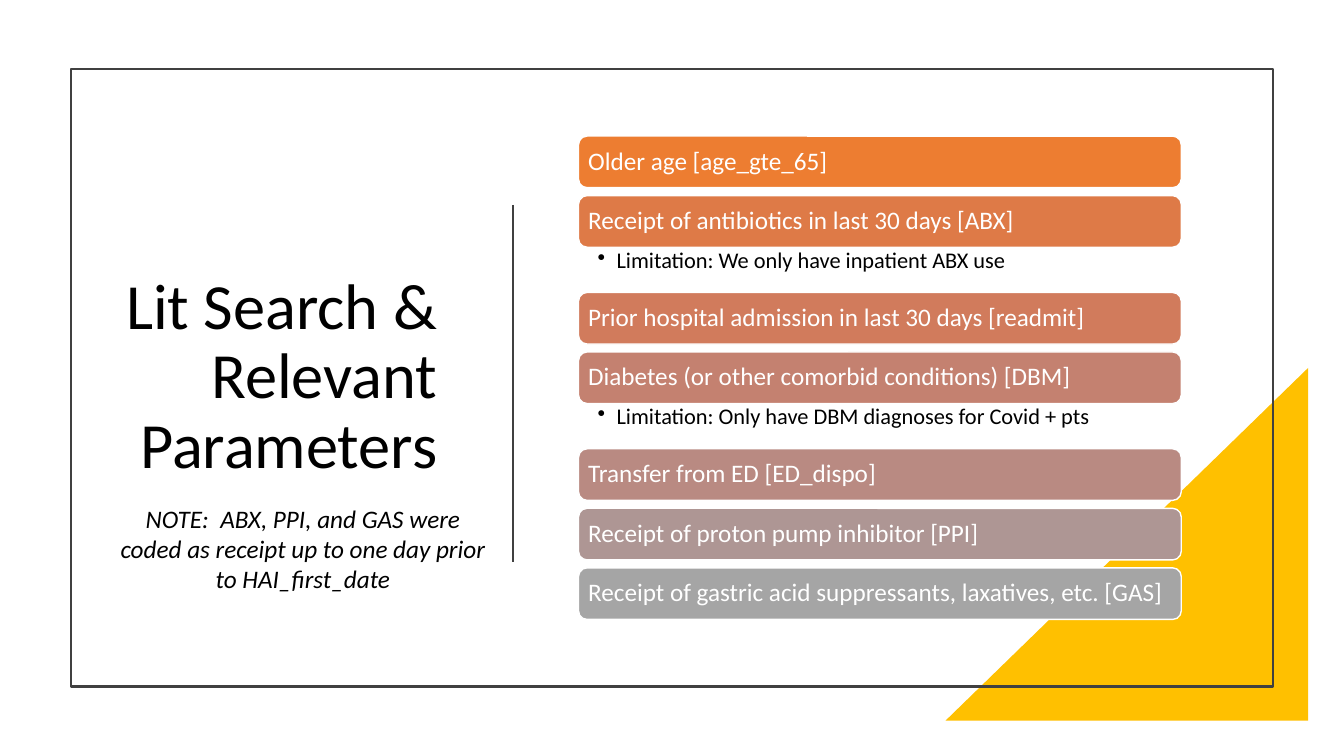
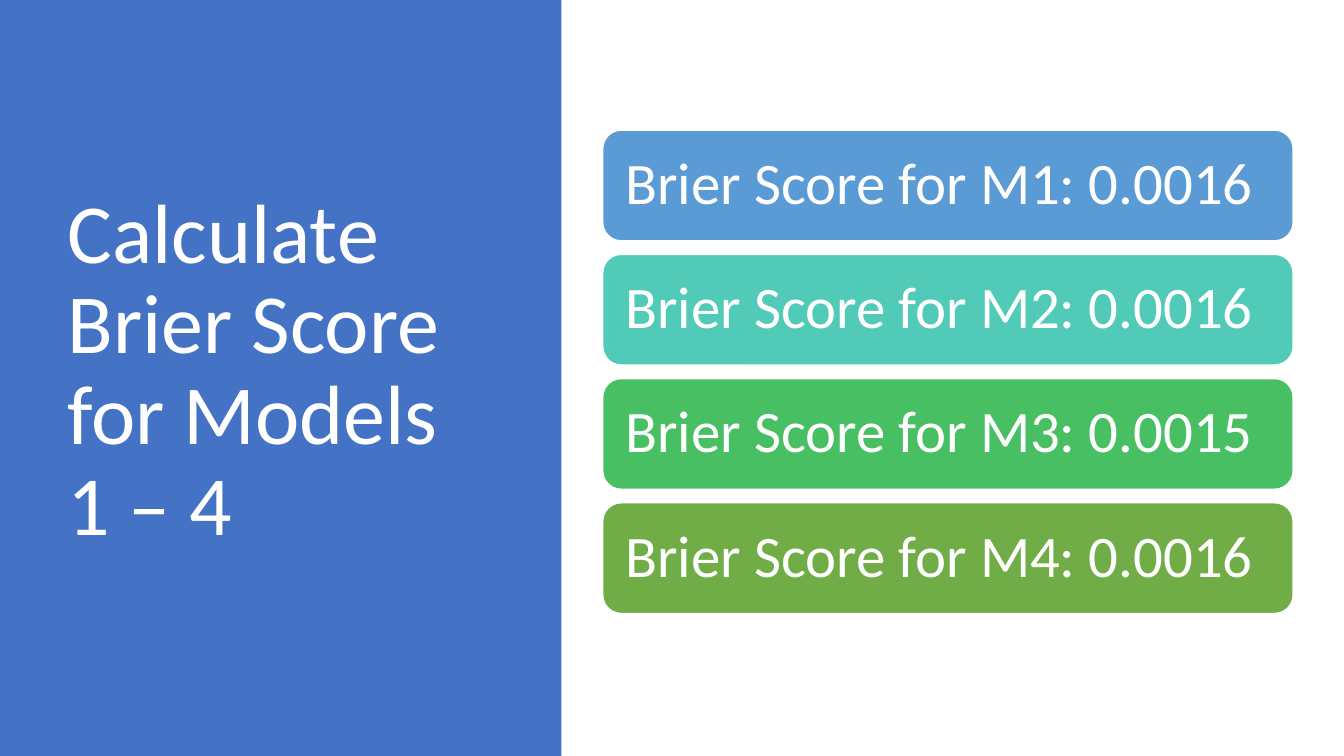
from dataclasses import dataclass

from lxml import etree
from pptx import Presentation
from pptx.dml.color import RGBColor
from pptx.enum.shapes import MSO_CONNECTOR, MSO_SHAPE
from pptx.enum.text import MSO_ANCHOR, MSO_AUTO_SIZE, PP_ALIGN
from pptx.oxml.ns import qn
from pptx.util import Cm, Pt

RECT, ROUNDED = MSO_SHAPE.RECTANGLE, MSO_SHAPE.ROUNDED_RECTANGLE
TRIANGLE = MSO_SHAPE.RIGHT_TRIANGLE
LEFT, CENTER, RIGHT = PP_ALIGN.LEFT, PP_ALIGN.CENTER, PP_ALIGN.RIGHT
TOP, MIDDLE = MSO_ANCHOR.TOP, MSO_ANCHOR.MIDDLE

FONT = "Calibri"
BLACK = RGBColor(0x00, 0x00, 0x00)
WHITE = RGBColor(0xFF, 0xFF, 0xFF)
GRAY = RGBColor(0x40, 0x40, 0x40)
GOLD = RGBColor(0xFF, 0xC0, 0x00)
BLUE = RGBColor(0x44, 0x72, 0xC4)

TITLE_ONLY = 5
DEFAULT_INSETS = (0.25, 0.13, 0.25, 0.13)
NOTE_INSETS = (0.48, 0.05, 0.3, 0.05)
NOTE_HEIGHT = 1.14
NOTE_INDENT = Cm(0.48)


@dataclass(frozen=True)
class Bar:
    text: str
    color: RGBColor
    note: str = ""


@dataclass(frozen=True)
class BarStyle:
    """Geometry of a bar stack in centimetres; size in points."""
    left: float
    top: float
    width: float
    height: float
    gap: float
    inset: float
    size: int


PARAMETERS = [
    Bar("Older age [age_gte_65]", RGBColor(0xED, 0x7D, 0x31)),
    Bar("Receipt of antibiotics in last 30 days [ABX]", RGBColor(0xDE, 0x7A, 0x47),
        "Limitation: We only have inpatient ABX use"),
    Bar("Prior hospital admission in last 30 days [readmit]", RGBColor(0xD1, 0x7B, 0x5C)),
    Bar("Diabetes (or other comorbid conditions) [DBM]", RGBColor(0xC4, 0x81, 0x70),
        "Limitation: Only have DBM diagnoses for Covid + pts"),
    Bar("Transfer from ED [ED_dispo]", RGBColor(0xB9, 0x8A, 0x82)),
    Bar("Receipt of proton pump inhibitor [PPI]", RGBColor(0xAE, 0x96, 0x94)),
    Bar("Receipt of gastric acid suppressants, laxatives, etc. [GAS]",
        RGBColor(0xA5, 0xA5, 0xA5)),
]
SCORES = [
    Bar("Brier Score for M1: 0.0016", RGBColor(0x5B, 0x9B, 0xD5)),
    Bar("Brier Score for M2: 0.0016", RGBColor(0x52, 0xCA, 0xB8)),
    Bar("Brier Score for M3: 0.0015", RGBColor(0x49, 0xBF, 0x64)),
    Bar("Brier Score for M4: 0.0016", RGBColor(0x70, 0xAD, 0x47)),
]
PARAMETER_STYLE = BarStyle(14.58, 3.43, 15.19, 1.3, 0.2, 0.18, 18)
SCORE_STYLE = BarStyle(15.19, 3.28, 17.4, 2.79, 0.34, 0.43, 42)


def write(sp, text, *, size, color=BLACK, align=LEFT, anchor=TOP,
          spacing=0.9, italic=False, insets=DEFAULT_INSETS):
    """Fill a shape with one formatted paragraph and return the paragraph."""
    tf = sp.text_frame
    tf.word_wrap = True
    tf.auto_size = MSO_AUTO_SIZE.NONE
    tf.vertical_anchor = anchor
    tf.margin_left, tf.margin_top, tf.margin_right, tf.margin_bottom = map(Cm, insets)
    p = tf.paragraphs[0]
    p.alignment = align
    p.line_spacing = spacing
    r = p.add_run()
    r.text = text
    r.font.name = FONT
    r.font.size = Pt(size)
    r.font.italic = italic
    r.font.color.rgb = color
    return p


def add_box(s, kind, box, *, fill=None, line=None, weight=1.0):
    sp = s.shapes.add_shape(kind, *map(Cm, box))
    sp.shadow.inherit = False
    if fill is None:
        sp.fill.background()
    else:
        sp.fill.solid()
        sp.fill.fore_color.rgb = fill
    if line is None:
        sp.line.fill.background()
    else:
        sp.line.color.rgb = line
        sp.line.width = Pt(weight)
    return sp


def add_text(s, box, text, **style):
    return write(s.shapes.add_textbox(*map(Cm, box)), text, **style)


def add_title(s, box, text, **style) -> None:
    """Format the title placeholder and bring it in front of the backdrop."""
    sp = s.shapes.title
    sp.left, sp.top, sp.width, sp.height = map(Cm, box)
    write(sp, text, anchor=MIDDLE, **style)
    s.shapes._spTree.append(sp._element)


def add_divider(s, x: float, top: float, bottom: float) -> None:
    line = s.shapes.add_connector(MSO_CONNECTOR.STRAIGHT, Cm(x), Cm(top), Cm(x), Cm(bottom))
    line.line.color.rgb = GRAY
    line.line.width = Pt(1.5)
    etree.SubElement(line._element.spPr, qn("a:effectLst"))


def add_bullet(p) -> None:
    pPr = p._p.get_or_add_pPr()
    pPr.set("marL", str(NOTE_INDENT))
    pPr.set("indent", str(-NOTE_INDENT))
    etree.SubElement(pPr, qn("a:buChar")).set("char", "•")


def add_bars(s, bars: list[Bar], style: BarStyle) -> None:
    """Stack the bars downwards; a note takes the place of the gap below its bar."""
    y = style.top
    for bar in bars:
        sp = add_box(s, ROUNDED, (style.left, y, style.width, style.height),
                     fill=bar.color, line=WHITE)
        write(sp, bar.text, size=style.size, color=WHITE, anchor=MIDDLE,
              insets=(style.inset,) * 4)
        y += style.height
        if bar.note:
            p = add_text(s, (style.left, y, style.width, NOTE_HEIGHT), bar.note,
                         size=16, insets=NOTE_INSETS)
            add_bullet(p)
            y += NOTE_HEIGHT
        else:
            y += style.gap


def build_parameters(prs) -> None:
    s = prs.slides.add_slide(prs.slide_layouts[TITLE_ONLY])
    corner = add_box(s, TRIANGLE, (23.83, 9.27, 9.14, 8.89), fill=GOLD)
    corner._element.spPr.find(qn("a:xfrm")).set("flipH", "1")
    add_box(s, RECT, (1.78, 1.73, 30.3, 15.57), line=GRAY, weight=1.5)
    add_title(s, (2.79, 3.3, 8.48, 12.45), "Lit Search & Relevant Parameters",
              size=46, align=RIGHT)
    add_divider(s, 12.93, 5.16, 14.15)
    add_bars(s, PARAMETERS, PARAMETER_STYLE)
    add_text(s, (2.77, 12.55, 9.73, 2.57),
             "NOTE:  ABX, PPI, and GAS were coded as receipt up to one day prior "
             "to HAI_first_date",
             size=18, align=CENTER, spacing=1.0, italic=True)


def build_scores(prs) -> None:
    s = prs.slides.add_slide(prs.slide_layouts[TITLE_ONLY])
    add_box(s, RECT, (0, 0, 14.15, 19.05), fill=BLUE)
    add_title(s, (1.45, 1.73, 10.57, 15.29), "Calculate Brier Score for Models 1 – 4",
              size=60, color=WHITE)
    add_bars(s, SCORES, SCORE_STYLE)


def main() -> None:
    prs = Presentation()
    prs.slide_width, prs.slide_height = Cm(33.87), Cm(19.05)
    build_parameters(prs)
    build_scores(prs)
    prs.save("out.pptx")


if __name__ == "__main__":
    main()
